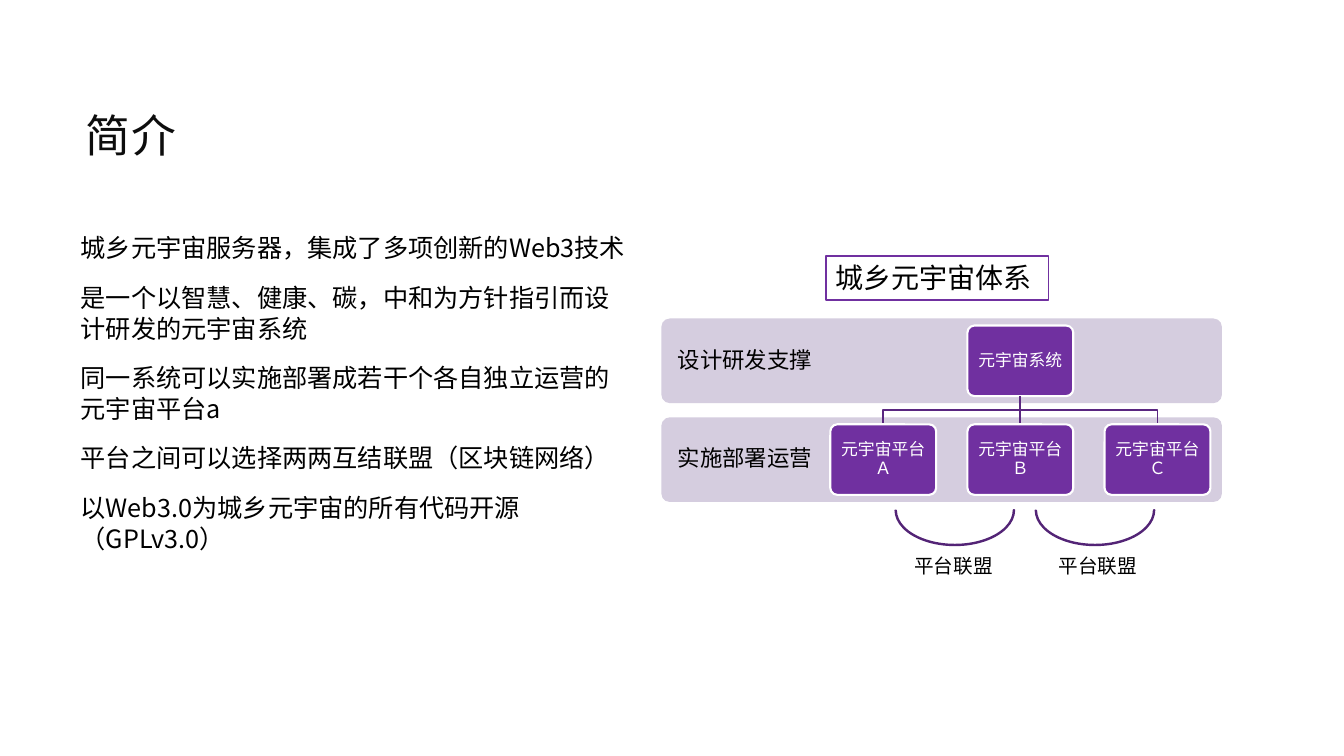
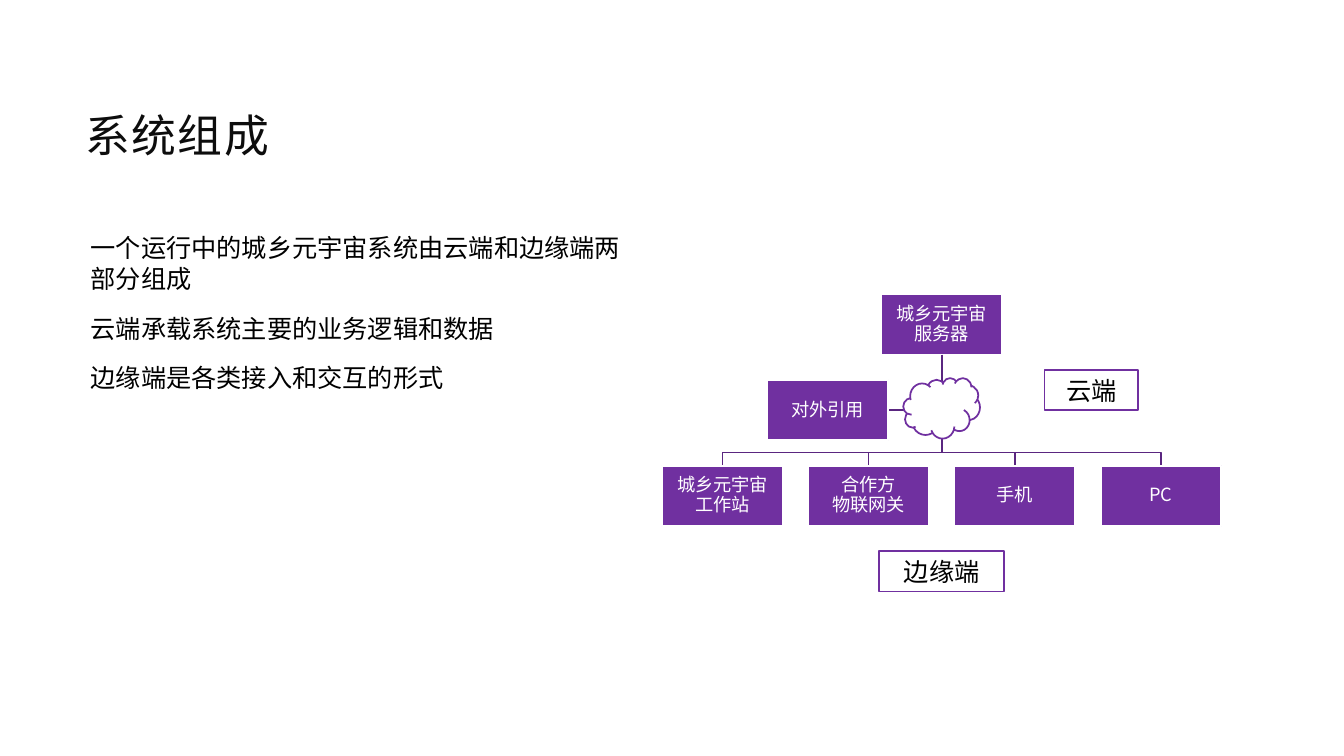
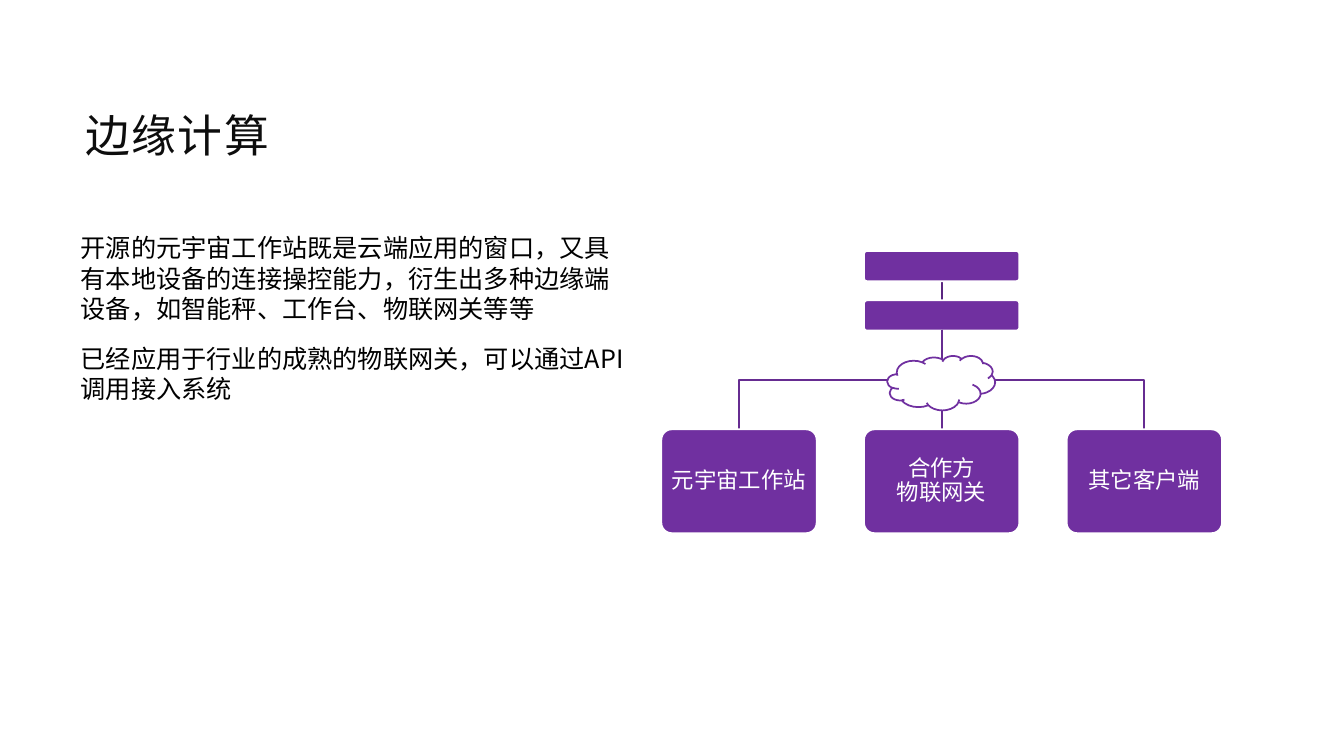
from lxml.etree import SubElement
from pptx import Presentation
from pptx.dml.color import RGBColor
from pptx.enum.shapes import MSO_CONNECTOR, MSO_SHAPE as SHAPE
from pptx.enum.text import MSO_ANCHOR as ANCHOR, PP_ALIGN as ALIGN
from pptx.oxml.ns import qn
from pptx.util import Inches, Pt

FONT = "Noto Sans CJK SC"
COLORS = {
    "white": "FFFFFF",
    "black": "000000",
    "title": "0D0D0D",
    "purple": "7030A0",
    "band": "D5CDDF",
    "wire": "5A2680",
    "branch": "662C91",
    "arc": "532476",
}


def rgb(name):
    return RGBColor.from_string(COLORS[name])


def write(sp, paragraphs, size, color="black", align=ALIGN.LEFT, anchor=ANCHOR.TOP,
          spacing=1.0, before=0, after=0, insets=(0.1, 0.05), indent=0, tracking=0):
    """Fill a shape with text; insets are (horizontal, vertical) inches."""
    tf = sp.text_frame
    tf.word_wrap = True
    tf.vertical_anchor = anchor
    tf.margin_left = tf.margin_right = Inches(insets[0])
    tf.margin_top = tf.margin_bottom = Inches(insets[1])
    for i, text in enumerate(paragraphs):
        p = tf.add_paragraph() if i else tf.paragraphs[0]
        p.text = text
        p.alignment = align
        p.line_spacing = spacing
        p.space_before, p.space_after = Pt(before), Pt(after)
        p.font.size = Pt(size)
        p.font.name = FONT
        p.font.color.rgb = rgb(color)
        if indent:
            p._p.get_or_add_pPr().set("marL", str(Inches(indent)))
        for r in p.runs:
            props = r._r.get_or_add_rPr()
            SubElement(props, qn("a:ea")).set("typeface", FONT)
            if tracking:
                props.set("spc", str(tracking * 100))


def add_text(s, x, y, w, h, paragraphs, size, **style):
    sp = s.shapes.add_textbox(Inches(x), Inches(y), Inches(w), Inches(h))
    write(sp, paragraphs, size, **style)


def add_box(s, kind, x, y, w, h, fill="purple", line=None, width=1.25, adj=()):
    sp = s.shapes.add_shape(kind, Inches(x), Inches(y), Inches(w), Inches(h))
    sp.shadow.inherit = False
    sp.fill.solid()
    sp.fill.fore_color.rgb = rgb(fill)
    if line:
        sp.line.color.rgb = rgb(line)
        sp.line.width = Pt(width)
    else:
        sp.line.fill.background()
    for i, value in enumerate(adj):
        sp.adjustments[i] = value
    return sp


def add_node(s, kind, center, top, w, h, text="", size=12, width=1.5):
    adj = (0.1,) if kind == SHAPE.ROUNDED_RECTANGLE else ()
    sp = add_box(s, kind, center - w / 2, top, w, h, line="white", width=width, adj=adj)
    if text:
        write(sp, [text], size, color="white", align=ALIGN.CENTER,
              anchor=ANCHOR.MIDDLE, spacing=0.9, insets=(0.03, 0.03))


def add_label(s, x, y, w, h, text, size=18, align=ALIGN.CENTER):
    sp = add_box(s, SHAPE.RECTANGLE, x, y, w, h, fill="white", line="purple")
    write(sp, [text], size, align=align)


def add_cloud(s, x, y, w, h):
    add_box(s, SHAPE.CLOUD, x, y, w, h, fill="white", line="purple")


def add_wire(s, *points, color="wire"):
    """Straight connector for two points, open outline for a bent run."""
    points = [(Inches(x), Inches(y)) for x, y in points]
    if len(points) == 2:
        sp = s.shapes.add_connector(MSO_CONNECTOR.STRAIGHT, *points[0], *points[1])
        SubElement(sp._element.spPr, qn("a:effectLst"))
    else:
        builder = s.shapes.build_freeform(*points[0], scale=1.0)
        builder.add_line_segments(points[1:], close=False)
        sp = builder.convert_to_shape()
        sp.shadow.inherit = False
        sp.fill.background()
    sp.line.color.rgb = rgb(color)
    sp.line.width = Pt(1.25)


def add_branch(s, x, top, bend, target, bottom, color="wire"):
    if target == x:
        add_wire(s, (x, top), (x, bottom), color=color)
    else:
        add_wire(s, (x, top), (x, bend), (target, bend), (target, bottom), color=color)


def spread(center, pitch, count):
    """Centres of equally spaced items around a middle."""
    return [center + (i - (count - 1) / 2) * pitch for i in range(count)]


def add_slide(prs, title, body, indent=0):
    s = prs.slides.add_slide(prs.slide_layouts[6])
    add_text(s, 0.75, 0.75, 11.37, 1.27, [title], 32, color="title",
             anchor=ANCHOR.MIDDLE, spacing=0.8, tracking=1)
    add_text(s, 0.75, 2.26, 5.57, 3.62, body, 18, before=12, after=2,
             insets=(0.05, 0.05), indent=indent)
    return s


def build_intro(prs):
    s = add_slide(prs, "简介", [
        "城乡元宇宙服务器，集成了多项创新的Web3技术",
        "是一个以智慧、健康、碳，中和为方针指引而设计研发的元宇宙系统",
        "同一系统可以实施部署成若干个各自独立运营的元宇宙平台a",
        "平台之间可以选择两两互结联盟（区块链网络）",
        "以Web3.0为城乡元宇宙的所有代码开源（GPLv3.0）",
    ])
    for y, text in ((3.16, "设计研发支撑"), (4.14, "实施部署运营")):
        band = add_box(s, SHAPE.ROUNDED_RECTANGLE, 6.56, y, 5.56, 0.84,
                       fill="band", adj=(0.1,))
        write(band, [text], 16, anchor=ANCHOR.MIDDLE, spacing=0.9, insets=(0.14, 0.12))
    middle = 10.12
    add_node(s, SHAPE.ROUNDED_RECTANGLE, middle, 3.23, 1.05, 0.7, "元宇宙系统")
    for x, letter in zip(spread(middle, 1.36, 3), "ＡＢＣ"):
        add_branch(s, middle, 3.93, 4.07, x, 4.21)
        add_node(s, SHAPE.ROUNDED_RECTANGLE, x, 4.21, 1.05, 0.7, f"元宇宙平台\n{letter}")
    add_label(s, 8.19, 2.54, 2.21, 0.44, "城乡元宇宙体系", 20, ALIGN.LEFT)
    for arc_x, text_x in ((8.88, 8.97), (10.27, 10.4)):
        arc = add_box(s, SHAPE.BLOCK_ARC, arc_x, 4.71, 1.18, 0.7, line="arc",
                      adj=(108, 215.79, 0.01))
        arc.rotation = 180
        add_text(s, text_x, 5.45, 1.22, 0.34, ["平台联盟"], 14)


def build_system(prs):
    s = add_slide(prs, "系统组成", [
        "一个运行中的城乡元宇宙系统由云端和边缘端两部分组成",
        "云端承载系统主要的业务逻辑和数据",
        "边缘端是各类接入和交互的形式",
    ], indent=0.1)
    middle, w, h = 9.34, 1.2, 0.6
    add_wire(s, (middle, 3.52), (middle, 4.07), (8.81, 4.07))
    add_node(s, SHAPE.RECTANGLE, middle, 2.92, w, h, "城乡元宇宙\n服务器", 13)
    add_node(s, SHAPE.RECTANGLE, 8.21, 3.77, w, h, "对外引用", 13)
    clients = ("城乡元宇宙\n工作站", "合作方\n物联网关", "手机", "PC")
    for x, text in zip(spread(middle, 1.45, len(clients)), clients):
        add_branch(s, middle, 3.52, 4.49, x, 4.62)
        add_node(s, SHAPE.RECTANGLE, x, 4.62, w, h, text, 13)
    add_cloud(s, 8.96, 3.75, 0.76, 0.6)
    add_label(s, 8.72, 5.47, 1.24, 0.4, "边缘端")
    add_label(s, 10.36, 3.67, 0.93, 0.4, "云端")


def build_edge(prs):
    s = add_slide(prs, "边缘计算", [
        "开源的元宇宙工作站既是云端应用的窗口，又具有本地设备的连接操控能力，"
        "衍生出多种边缘端设备，如智能秤、工作台、物联网关等等",
        "已经应用于行业的成熟的物联网关，可以通过API调用接入系统",
    ])
    middle, w = 9.34, 1.54
    add_wire(s, (middle, 2.79), (middle, 2.98))
    for y in (2.49, 2.98):
        add_node(s, SHAPE.ROUNDED_RECTANGLE, middle, y, w, 0.3, width=1.25)
    clients = ("元宇宙工作站", "合作方\n物联网关", "其它客户端")
    for x, text in zip(spread(middle, 2.01, len(clients)), clients):
        add_branch(s, middle, 3.27, 3.77, x, 4.26, color="branch")
        add_node(s, SHAPE.ROUNDED_RECTANGLE, x, 4.26, w, 1.03, text, 16, 1.25)
    add_cloud(s, 8.8, 3.53, 1.07, 0.54)


def main():
    prs = Presentation()
    prs.slide_width, prs.slide_height = Inches(13.33), Inches(7.5)
    build_intro(prs)
    build_system(prs)
    build_edge(prs)
    prs.save("out.pptx")


if __name__ == "__main__":
    main()
